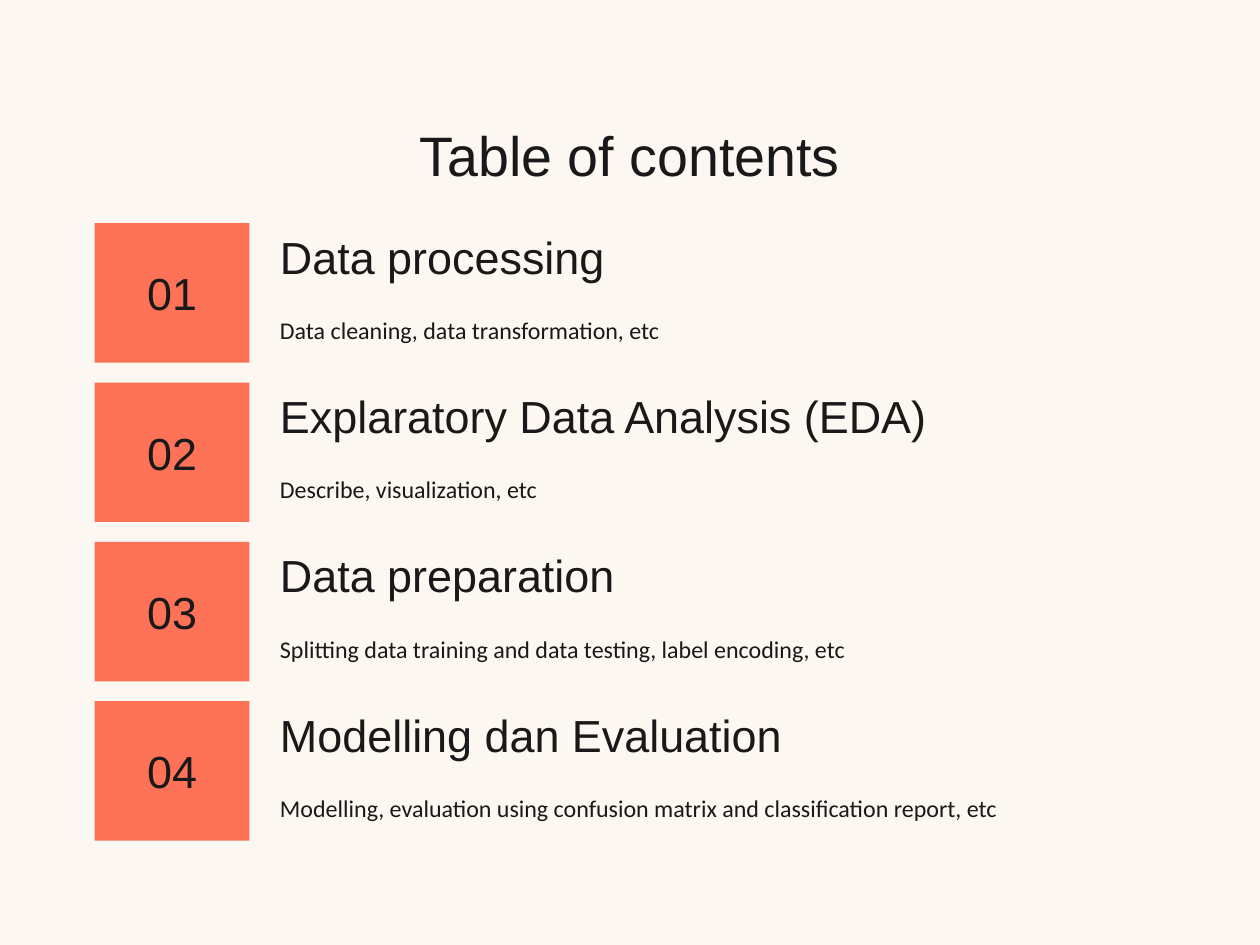
from pptx import Presentation
from pptx.dml.color import RGBColor
from pptx.enum.shapes import MSO_SHAPE
from pptx.enum.text import MSO_ANCHOR, PP_ALIGN
from pptx.util import Pt

CREAM = RGBColor(0xFC, 0xF7, 0xF0)
CORAL = RGBColor(0xFE, 0x72, 0x57)
INK = RGBColor(0x19, 0x19, 0x19)

ENTRIES = [
    ("Data processing", "Data cleaning, data transformation, etc"),
    ("Explaratory Data Analysis (EDA)", "Describe, visualization, etc"),
    ("Data preparation",
     "Splitting data training and data testing, label encoding, etc"),
    ("Modelling dan Evaluation",
     "Modelling, evaluation using confusion matrix and classification report, etc"),
]


def add_text(s, text, x, y, w, h, size=28.3, font="Arial", fill=CREAM,
             align=PP_ALIGN.LEFT):
    """Add a filled rectangle holding one line of text."""
    sp = s.shapes.add_shape(MSO_SHAPE.RECTANGLE, Pt(x), Pt(y), Pt(w), Pt(h))
    sp.shadow.inherit = False
    sp.fill.solid()
    sp.fill.fore_color.rgb = fill
    sp.line.fill.background()
    tf = sp.text_frame
    tf.word_wrap = True
    tf.vertical_anchor = MSO_ANCHOR.MIDDLE
    tf.margin_left = tf.margin_right = Pt(6.8)
    tf.margin_top = tf.margin_bottom = Pt(6.8)
    p = tf.paragraphs[0]
    p.alignment = align
    r = p.add_run()
    r.text = text
    r.font.size = Pt(size)
    r.font.name = font
    r.font.color.rgb = INK


def add_entry(s, number, heading, detail, x, y, w, h):
    """Place a number tile with its heading and detail inside the given box."""
    tile_w, gap, line_h = 97.4, 12.5, 41.2
    text_x = x + tile_w + gap
    text_w = w - tile_w - gap
    add_text(s, heading, text_x, y + 0.2, text_w, line_h)
    add_text(s, f"{number:02d}", x, y, tile_w, h, fill=CORAL,
             align=PP_ALIGN.CENTER)
    add_text(s, detail, text_x, y + h - line_h, text_w, line_h,
             size=15.1, font="Calibri")


def add_contents(s, x, y, w, h, gap=12.5):
    """Stack the entries evenly in the given box."""
    row_h = (h - gap * (len(ENTRIES) - 1)) / len(ENTRIES)
    for i, (heading, detail) in enumerate(ENTRIES):
        add_entry(s, i + 1, heading, detail, x, y + i * (row_h + gap), w, row_h)


def main():
    """Build the contents slide and save it."""
    prs = Presentation()
    prs.slide_width, prs.slide_height = Pt(793.7), Pt(595.28)
    s = prs.slides.add_slide(prs.slide_layouts[6])
    s.background.fill.solid()
    s.background.fill.fore_color.rgb = CREAM
    left, width = 59.7, 674
    add_contents(s, left, 140.6, width, 389)
    add_text(s, "Table of contents", left, 65.8, width, 62.6, size=35,
             align=PP_ALIGN.CENTER)
    prs.save("out.pptx")


if __name__ == "__main__":
    main()
